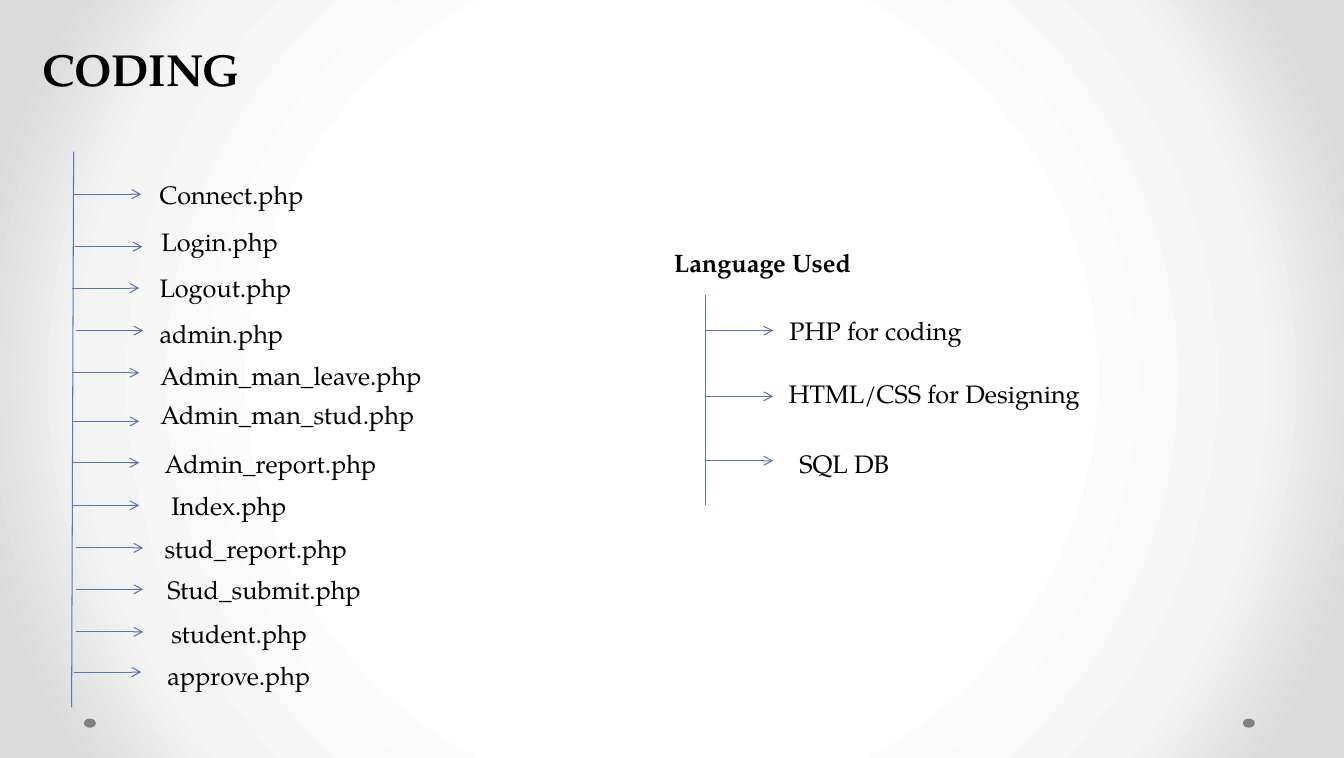
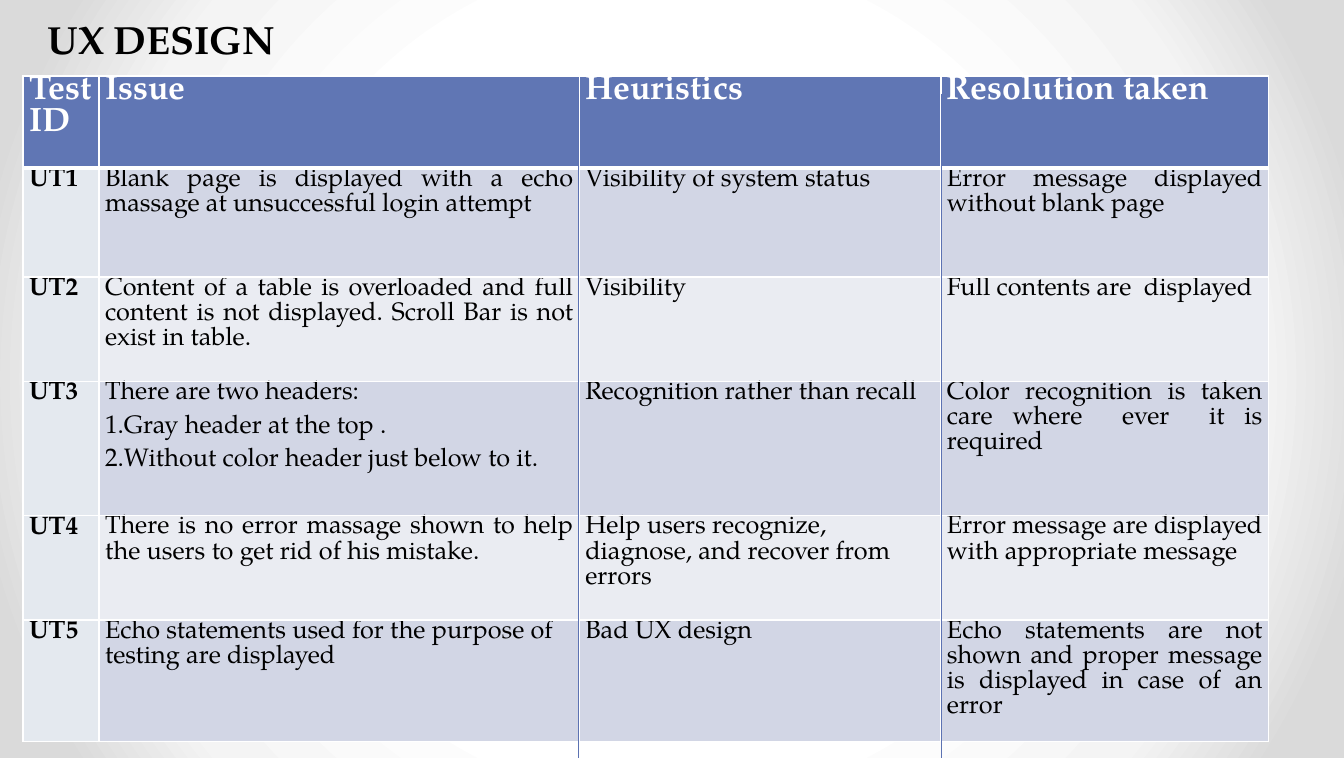
from dataclasses import dataclass

from lxml import etree
from pptx import Presentation
from pptx import util as u
from pptx.dml.color import RGBColor
from pptx.enum import shapes, text
from pptx.oxml import ns, parse_xml

FONT = "TeX Gyre Pagella"
BLACK = RGBColor(0x00, 0x00, 0x00)
WHITE = RGBColor(0xFF, 0xFF, 0xFF)
DOT_GREY = RGBColor(0x80, 0x80, 0x80)
HEADER_BLUE = RGBColor(0x60, 0x76, 0xB4)
LINE_BLUE = RGBColor(0x5C, 0x72, 0xB2)
ID_TINT = RGBColor(0xE4, 0xE9, 0xEF)
BANDS = (RGBColor(0xD2, 0xD6, 0xE5), RGBColor(0xEA, 0xEC, 0xF2))
BACKDROP = ((50, WHITE), (76, RGBColor(0xF4, 0xF4, 0xF4)),
            (92, RGBColor(0xDA, 0xDA, 0xDA)))

LEFT = text.PP_ALIGN.LEFT
JUSTIFY = text.PP_ALIGN.JUSTIFY
ARROW_LENGTH = 1.7
LABEL_HEIGHT = 1.02


@dataclass(frozen=True)
class Branch:
    """An arrow off a spine and its label; lengths in centimetres."""
    label: str
    arrow_x: float
    arrow_y: float
    label_x: float
    label_y: float
    label_width: float


@dataclass(frozen=True)
class Finding:
    """One usability test; issue holds one string per paragraph."""
    test_id: str
    issue: tuple[str, ...]
    heuristic: str
    resolution: str
    height: float
    left_columns: tuple[int, ...] = ()


FILES = (
    Branch("Connect.php", 1.85, 4.88, 3.76, 4.39, 5.28),
    Branch("Login.php", 1.88, 6.2, 3.81, 5.56, 5.28),
    Branch("Logout.php", 1.8, 7.24, 3.76, 6.71, 5.28),
    Branch("admin.php", 1.9, 8.31, 3.76, 7.87, 5.28),
    Branch("Admin_man_leave.php", 1.8, 9.37, 3.78, 8.94, 7.92),
    Branch("Admin_man_stud.php", 1.8, 10.59, 3.78, 9.91, 7.92),
    Branch("Admin_report.php", 1.8, 11.63, 3.89, 11.13, 6.43),
    Branch("Index.php", 1.8, 12.7, 4.06, 12.19, 7.92),
    Branch("stud_report.php", 1.9, 13.77, 3.89, 13.28, 6.43),
    Branch("Stud_submit.php", 1.9, 14.81, 3.96, 14.3, 6.43),
    Branch("student.php", 1.9, 15.88, 4.06, 15.42, 6.43),
    Branch("approve.php", 1.85, 16.89, 3.96, 16.48, 6.43),
)
LANGUAGES = (
    Branch("PHP for coding", 17.73, 8.31, 19.59, 7.8, 8.46),
    Branch("HTML/CSS for Designing", 17.73, 9.96, 19.57, 9.37, 10.62),
    Branch("SQL DB", 17.73, 11.58, 19.84, 11.13, 8.46),
)

HEADINGS = ("Test ID", "Issue", "Heuristics", "Resolution taken")
COLUMN_WIDTHS = (1.91, 12.07, 9.09, 8.23)
HEADER_HEIGHT = 2.31
FINDINGS = (
    Finding("UT1",
            ("Blank page is displayed with a echo massage at unsuccessful login attempt",),
            "Visibility of system status",
            "Error message displayed without blank page", 2.74),
    Finding("UT2",
            ("Content of a table is overloaded and full content is not displayed. "
             "Scroll Bar is not exist in table.",),
            "Visibility", "Full contents are  displayed", 2.62),
    Finding("UT3",
            ("There are two headers:", "1.Gray header at the top .",
             "2.Without color header just below to it."),
            "Recognition rather than recall",
            "Color recognition is taken care where  ever  it is required", 3.38),
    Finding("UT4",
            ("There is no error massage shown to help the users to get rid of his mistake.",),
            "Help users recognize, diagnose, and recover from errors",
            "Error message are displayed with appropriate message", 2.62, (2,)),
    Finding("UT5",
            ("Echo statements used for the purpose of testing are displayed",),
            "Bad UX design",
            "Echo statements are not shown and proper message is displayed in case of an error",
            3.05, (1,)),
)


def add_run(paragraph, words: str, size: float, bold: bool = False,
            color: RGBColor = BLACK) -> None:
    run = paragraph.add_run()
    run.text = words
    run.font.name = FONT
    run.font.size = u.Pt(size)
    run.font.bold = bold
    run.font.color.rgb = color


def set_backdrop(master) -> None:
    """Give the master a round gradient, lightest at the centre."""
    master.background.fill.solid()
    solid = master.element.find(".//" + ns.qn("p:bgPr")).find(ns.qn("a:solidFill"))
    stops = "".join(f'<a:gs pos="{percent * 1000}"><a:srgbClr val="{color}"/></a:gs>'
                    for percent, color in BACKDROP)
    gradient = parse_xml(
        f'<a:gradFill {ns.nsdecls("a")} rotWithShape="1"><a:gsLst>{stops}</a:gsLst>'
        '<a:path path="circle"><a:fillToRect l="50000" t="50000" r="50000" b="50000"/>'
        '</a:path></a:gradFill>')
    solid.getparent().replace(solid, gradient)


def add_footer_dots(slide, layout) -> None:
    """Draw the two footer dots and hand them over to the shared layout."""
    for number, left in enumerate((2.11, 31.24)):
        dot = slide.shapes.add_shape(shapes.MSO_SHAPE.OVAL, u.Cm(left), u.Cm(18.06),
                                     u.Cm(0.3), u.Cm(0.23))
        dot.shadow.inherit = False
        dot.fill.solid()
        dot.fill.fore_color.rgb = DOT_GREY
        dot.line.fill.background()
        dot.element.nvSpPr.cNvPr.id = 20 + number
        layout.shapes.element.insert(2, dot.element)


def set_title(slide, words: str, left: float, top: float, width: float,
              height: float, size: float) -> None:
    title = slide.shapes.title
    title.left, title.top = u.Cm(left), u.Cm(top)
    title.width, title.height = u.Cm(width), u.Cm(height)
    frame = title.text_frame
    frame.auto_size = text.MSO_AUTO_SIZE.SHAPE_TO_FIT_TEXT
    frame.vertical_anchor = text.MSO_ANCHOR.TOP
    frame.paragraphs[0].alignment = LEFT
    add_run(frame.paragraphs[0], words, size, bold=True)


def add_line(slide, x1: float, y1: float, x2: float, y2: float,
             color: RGBColor = LINE_BLUE, arrow: bool = False) -> None:
    line = slide.shapes.add_connector(shapes.MSO_CONNECTOR.STRAIGHT,
                                      u.Cm(x1), u.Cm(y1), u.Cm(x2), u.Cm(y2))
    line.line.color.rgb = color
    line.line.width = u.Pt(0.75)
    if arrow:
        etree.SubElement(line.line._get_or_add_ln(), ns.qn("a:tailEnd"), type="arrow")
    etree.SubElement(line.element.spPr, ns.qn("a:effectLst"))


def add_label(slide, words: str, left: float, top: float, width: float,
              bold: bool = False) -> None:
    label = slide.shapes.add_textbox(u.Cm(left), u.Cm(top), u.Cm(width), u.Cm(LABEL_HEIGHT))
    label.text_frame.word_wrap = True
    add_run(label.text_frame.paragraphs[0], words, 18, bold)


def add_branch(slide, branch: Branch) -> None:
    add_line(slide, branch.arrow_x, branch.arrow_y,
             branch.arrow_x + ARROW_LENGTH, branch.arrow_y, arrow=True)
    add_label(slide, branch.label, branch.label_x, branch.label_y, branch.label_width)


def set_borders(cell, top: float = 1, bottom: float = 1) -> None:
    properties = cell._tc.get_or_add_tcPr()
    widths = {"lnL": 1, "lnR": 1, "lnT": top, "lnB": bottom}
    for position, (side, points) in enumerate(widths.items()):
        properties.insert(position, parse_xml(
            f'<a:{side} {ns.nsdecls("a")} w="{u.Pt(points)}"><a:solidFill>'
            f'<a:srgbClr val="{WHITE}"/></a:solidFill></a:{side}>'))


def fill_cell(cell, lines: tuple[str, ...], fill: RGBColor, size: float = 18,
              bold: bool = False, color: RGBColor = BLACK, pitch: float = 18,
              align=JUSTIFY) -> None:
    cell.margin_left = cell.margin_right = u.Cm(0.15)
    cell.margin_top = cell.margin_bottom = u.Cm(0)
    cell.fill.solid()
    cell.fill.fore_color.rgb = fill
    frame = cell.text_frame
    for number, words in enumerate(lines):
        paragraph = frame.add_paragraph() if number else frame.paragraphs[0]
        paragraph.alignment = align
        paragraph.space_before = paragraph.space_after = u.Pt(3)
        paragraph.line_spacing = u.Pt(pitch)
        add_run(paragraph, words, size, bold, color)


def add_findings_table(slide) -> None:
    heights = (HEADER_HEIGHT, *(finding.height for finding in FINDINGS))
    table = slide.shapes.add_table(
        len(heights), len(HEADINGS), u.Cm(0.58), u.Cm(1.91),
        u.Cm(sum(COLUMN_WIDTHS)), u.Cm(sum(heights))).table
    for column, width in zip(table.columns, COLUMN_WIDTHS):
        column.width = u.Cm(width)
    for row, height in zip(table.rows, heights):
        row.height = u.Cm(height)

    # Header row
    for cell, heading in zip(table.rows[0].cells, HEADINGS):
        fill_cell(cell, (heading,), HEADER_BLUE, 24, True, WHITE, pitch=23)
        set_borders(cell, bottom=3)

    # One row per finding
    for number, finding in enumerate(FINDINGS):
        contents = ((finding.test_id,), finding.issue,
                    (finding.heuristic,), (finding.resolution,))
        for column, lines in enumerate(contents):
            cell = table.cell(number + 1, column)
            fill_cell(cell, lines, BANDS[number % 2] if column else ID_TINT,
                      bold=column == 0,
                      align=LEFT if column in finding.left_columns else JUSTIFY)
            set_borders(cell, top=1 if number else 3)


def build_coding(slide) -> None:
    set_title(slide, "CODING", 0.81, 0.91, 7.42, 1.63, 32)
    # File list
    add_line(slide, 1.85, 3.81, 1.8, 17.78, HEADER_BLUE)
    # Languages
    add_label(slide, "Language Used", 16.69, 6.1, 8.46, bold=True)
    add_line(slide, 17.73, 7.42, 17.73, 12.7)
    for branch in FILES + LANGUAGES:
        add_branch(slide, branch)


def build_ux_design(slide) -> None:
    set_title(slide, "UX DESIGN", 0.94, 0.25, 7.82, 1.45, 28)
    add_findings_table(slide)
    # Column rules running to the foot of the slide
    for x in (14.55, 23.67):
        add_line(slide, x, 2.36, x, 19.05)


def main() -> None:
    deck = Presentation()
    deck.slide_width, deck.slide_height = u.Cm(33.78), u.Cm(19.05)
    title_only = deck.slide_layouts[5]
    set_backdrop(deck.slide_master)
    coding = deck.slides.add_slide(title_only)
    add_footer_dots(coding, title_only)
    build_coding(coding)
    build_ux_design(deck.slides.add_slide(title_only))
    deck.save("out.pptx")


if __name__ == "__main__":
    main()
